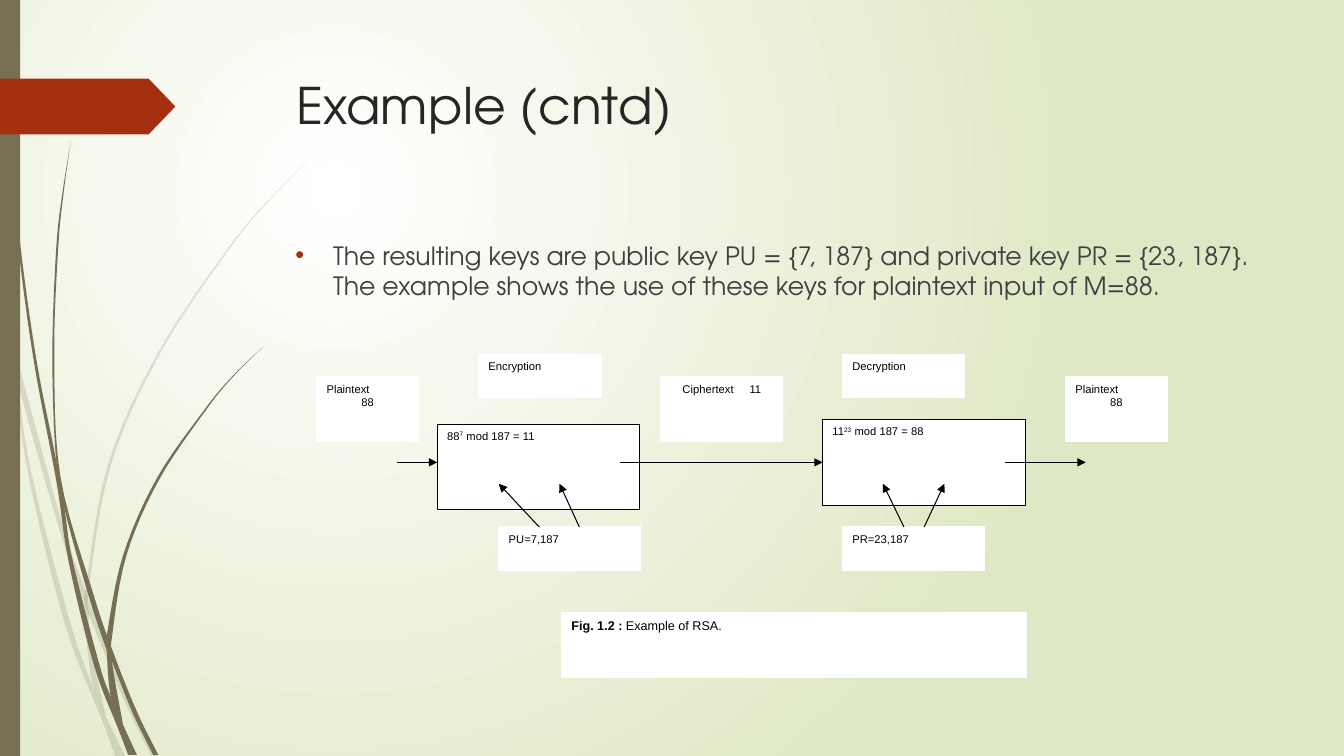
from lxml.etree import SubElement
from pptx import Presentation
from pptx.dml.color import RGBColor
from pptx.enum.shapes import MSO_CONNECTOR as CONN, MSO_SHAPE as SHAPE
from pptx.enum.text import MSO_ANCHOR as ANCHOR, MSO_AUTO_SIZE as AUTO, PP_ALIGN as ALIGN
from pptx.oxml import parse_xml
from pptx.oxml.ns import nsdecls, qn
from pptx.util import Cm, Pt

COLORS = {"olive": "766F54", "red": "A53010", "mist": "DFE8C4", "white": "FFFFFF",
          "black": "000000", "title": "262626", "body": "404040"}
HEAD_FONT, LABEL_FONT = "TeX Gyre Adventor", "Arial"

TITLE = "Example (cntd)"
BODY = ("The resulting keys are public key PU = {7, 187} and private key PR = {23, 187}. "
        "The example shows the use of these keys for plaintext input of M=88.")
CAPTION = [("Fig. 1.2 :", "bold"), (" Example of RSA.", "")]

STEPS = {
    "encrypt": (11.02, 10.69, [("88", ""), ("7", "sup"), (" mod 187 = 11", "")]),
    "decrypt": (20.73, 10.57, [("11", ""), ("23", "sup"), (" mod 187 = 88", "")]),
}
STEP_W, STEP_H = 5.11, 2.16
LABELS = [
    (12.06, 8.94, 3.09, 1.09, ["Encryption"]),
    (21.23, 8.94, 3.09, 1.09, ["Decryption"]),
    (7.98, 9.5, 2.57, 1.63, ["Plaintext", "88"]),
    (26.85, 9.5, 2.57, 1.63, ["Plaintext", "88"]),
    (12.57, 13.28, 3.58, 1.09, ["PU=7,187"]),
    (21.23, 13.28, 3.58, 1.09, ["PR=23,187"]),
]
FLOW_Y, KEY_TOP, KEY_TIP = 11.65, 13.28, 12.19
FLOWS = [(10.01, 11.02, None), (15.62, 20.73, "decrypt"), (25.32, 27.36, None)]
KEY_ARROWS = [(13.59, 12.57), (14.6, 14.1), (22.78, 22.25), (23.29, 23.8)]

PALE_STRANDS = [
    ([(0, 7.59), (.28, 8.89), (.71, 11.94), (1.65, 15.77), (2.57, 18.14), (2.9, 19.05)],
     [(0, 7.16), (.23, 8.18), (.43, 9.55), (.79, 11.91), (1.78, 15.72), (2.36, 17.35),
      (2.67, 18.06), (3.15, 19.05)]),
    ([(.36, 8.76), (.43, 9.55), (1.47, 13.26), (2.13, 15.21), (2.24, 15.49), (3.12, 17.63),
      (3.81, 19.05)],
     [(.36, 8.76), (1.57, 13.21), (2.16, 14.88), (2.34, 15.42), (3.23, 17.58), (3.94, 19.05)]),
    ([(7.92, 3.89), (6.81, 5), (5.79, 6.2), (4.01, 8.84), (2.72, 11.71), (2.16, 14.83),
      (2.13, 15.21), (2.21, 16.41), (2.36, 17.35), (2.67, 18.06)],
     [(7.92, 3.89), (6.81, 5.03), (5.82, 6.22), (4.06, 8.86), (2.79, 11.73), (2.24, 14.83),
      (2.24, 15.49), (2.31, 16.41), (2.67, 18.06)]),
]
DARK_STRANDS = [
    ([(.08, 0), (.1, 1.22), (.18, 2.79), (.43, 5.92), (.84, 9.02), (1.42, 12.12),
      (1.73, 14.15), (2.36, 16.74), (2.97, 18.34), (3.23, 19.02)],
     [(.1, 0), (.13, 1.22), (.2, 2.77), (.48, 5.89), (.91, 9.02), (1.4, 11.51), (1.63, 12.83),
      (1.83, 14.12), (2.49, 16.69), (2.79, 17.55), (3.1, 18.26), (3.45, 19.02)]),
    ([(1.78, 3.58), (1.57, 4.9), (1.42, 6.22), (1.32, 8.86), (1.4, 11.4), (1.63, 12.83),
      (2.24, 15.04), (2.69, 16.38), (2.82, 16.66), (3.35, 17.98), (3.86, 19.02)],
     [(1.78, 3.58), (1.6, 4.9), (1.47, 6.22), (1.37, 8.86), (1.52, 11.99), (2.36, 14.99),
      (2.87, 16.48), (3.45, 17.93), (3.99, 19.02)]),
    ([(6.63, 8.74), (5.87, 9.47), (5.18, 10.29), (3.96, 12.04), (3.1, 14), (2.69, 16.03),
      (2.69, 16.38), (2.79, 17.55), (3.1, 18.26)],
     [(6.63, 8.74), (5.87, 9.5), (5.21, 10.31), (4.01, 12.09), (3.18, 14.02), (2.82, 16.08),
      (2.82, 16.66), (3.1, 18.26)]),
]


def rgb(name):
    return RGBColor.from_string(COLORS[name])


def write(p, runs, size=8, font=LABEL_FONT, color="black", align=ALIGN.LEFT):
    p.alignment = align
    p.space_before = Pt(0)
    for text, style in [(runs, "")] if isinstance(runs, str) else runs:
        r = p.add_run()
        r.text = text
        r.font.size, r.font.name = Pt(size), font
        r.font.bold = style == "bold"
        r.font.color.rgb = rgb(color)
        if style == "sup":
            r._r.get_or_add_rPr().set("baseline", "30000")


def paint(sp, fill, line=None, alpha=None):
    sp.shadow.inherit = False
    sp.fill.solid()
    sp.fill.fore_color.rgb = rgb(fill)
    if alpha:
        clr = sp._element.spPr.find(qn("a:solidFill"))[0]
        SubElement(clr, qn("a:alpha")).set("val", str(alpha * 1000))
    if line:
        sp.line.color.rgb = rgb(line)
        sp.line.width = Pt(.75)
    else:
        sp.line.fill.background()
    return sp


def box(x, y, w, h, line="white"):
    sp = shapes.add_shape(SHAPE.RECTANGLE, Cm(x), Cm(y), Cm(w), Cm(h))
    paint(sp, "white", line)
    sp.text_frame.word_wrap = True
    sp.text_frame.vertical_anchor = ANCHOR.TOP
    return sp


def arrow(x1, y1, x2, y2, target=None):
    c = shapes.add_connector(CONN.STRAIGHT, Cm(x1), Cm(y1), Cm(x2), Cm(y2))
    if target:
        c.end_connect(target, 1)
    c.line.color.rgb = rgb("black")
    c.line.width = Pt(.75)
    SubElement(c.line._get_or_add_ln(), qn("a:tailEnd")).set("type", "triangle")
    SubElement(c._element.spPr, qn("a:effectLst"))


def smooth(pts, steps=6):
    ends = [pts[0], *pts, pts[-1]]
    curve = []
    for a, b, c, d in zip(ends, ends[1:], ends[2:], ends[3:]):
        for t in (i / steps for i in range(steps)):
            curve.append(tuple(
                b[k] + .5 * t * (c[k] - a[k] + t * (2 * a[k] - 5 * b[k] + 4 * c[k] - d[k]
                                 + t * (3 * (b[k] - c[k]) + d[k] - a[k])))
                for k in (0, 1)))
    return curve + [pts[-1]]


def strand(left, right, alpha=None):
    pts = [(Cm(x), Cm(y)) for x, y in smooth(left) + smooth(right)[::-1]]
    fb = shapes.build_freeform(*pts[0])
    fb.add_line_segments(pts[1:], close=True)
    paint(fb.convert_to_shape(), "olive", alpha=alpha)


def place(sp, x, y, w, h):
    sp.left, sp.top, sp.width, sp.height = Cm(x), Cm(y), Cm(w), Cm(h)
    tf = sp.text_frame
    tf.auto_size = AUTO.NONE
    tf.vertical_anchor = ANCHOR.TOP
    return tf.paragraphs[0]


prs = Presentation()
prs.slide_width, prs.slide_height = Cm(33.87), Cm(19.05)
s = prs.slides.add_slide(prs.slide_layouts[1])
shapes = s.shapes

s.background.fill.solid()
bgPr = s._element.cSld.bg.bgPr
bgPr.replace(bgPr[0], parse_xml(
    f'<a:gradFill {nsdecls("a")} rotWithShape="1"><a:gsLst>'
    f'<a:gs pos="0"><a:srgbClr val="{COLORS["white"]}"/></a:gs>'
    f'<a:gs pos="100000"><a:srgbClr val="{COLORS["mist"]}"/></a:gs></a:gsLst>'
    '<a:path path="circle"><a:fillToRect l="50000" t="50000" r="100000" b="100000"/></a:path>'
    '</a:gradFill>'))

for left, right in PALE_STRANDS:
    strand(left, right, alpha=20)
for left, right in DARK_STRANDS:
    strand(left, right)
paint(shapes.add_shape(SHAPE.RECTANGLE, 0, 0, Cm(.51), prs.slide_height), "olive")
tag = paint(shapes.add_shape(SHAPE.PENTAGON, 0, Cm(1.98), Cm(4.42), Cm(1.41)), "red")
tag.adjustments[0] = .48

write(place(shapes.title, 7.21, 1.73, 24.77, 3.56), TITLE, size=36, font=HEAD_FONT, color="title")
p = place(s.placeholders[1], 7.19, 5.92, 24.77, 10.49)
pPr = p._p.get_or_add_pPr()
pPr.set("marL", str(Cm(.95)))
pPr.set("indent", str(-Cm(.95)))
SubElement(SubElement(pPr, qn("a:buClr")), qn("a:srgbClr")).set("val", COLORS["red"])
SubElement(pPr, qn("a:buFont")).set("typeface", LABEL_FONT)
SubElement(pPr, qn("a:buChar")).set("char", "•")
write(p, BODY, size=18, font=HEAD_FONT, color="body")

steps = {}
for name, (x, y, formula) in STEPS.items():
    steps[name] = box(x, y, STEP_W, STEP_H, line="black")
    write(steps[name].text_frame.paragraphs[0], formula)
for x1, x2, target in FLOWS:
    arrow(x1, FLOW_Y, x2, FLOW_Y, steps.get(target))

for x, y, w, h, lines in LABELS:
    tf = box(x, y, w, h).text_frame
    write(tf.paragraphs[0], lines[0])
    for line in lines[1:]:
        write(tf.add_paragraph(), line, align=ALIGN.CENTER)

tf = box(16.64, 9.5, 3.09, 1.63).text_frame
tf.margin_left = Cm(.56)
p = tf.paragraphs[0]
tab = SubElement(SubElement(p._p.get_or_add_pPr(), qn("a:tabLst")), qn("a:tab"))
tab.set("pos", str(Cm(1.69)))
tab.set("algn", "l")
write(p, "Ciphertext\t11")

for x1, x2 in KEY_ARROWS:
    arrow(x1, KEY_TOP, x2, KEY_TIP)
write(box(14.15, 15.44, 11.73, 1.63).text_frame.paragraphs[0], CAPTION, size=9, align=ALIGN.JUSTIFY)

prs.save("out.pptx")
